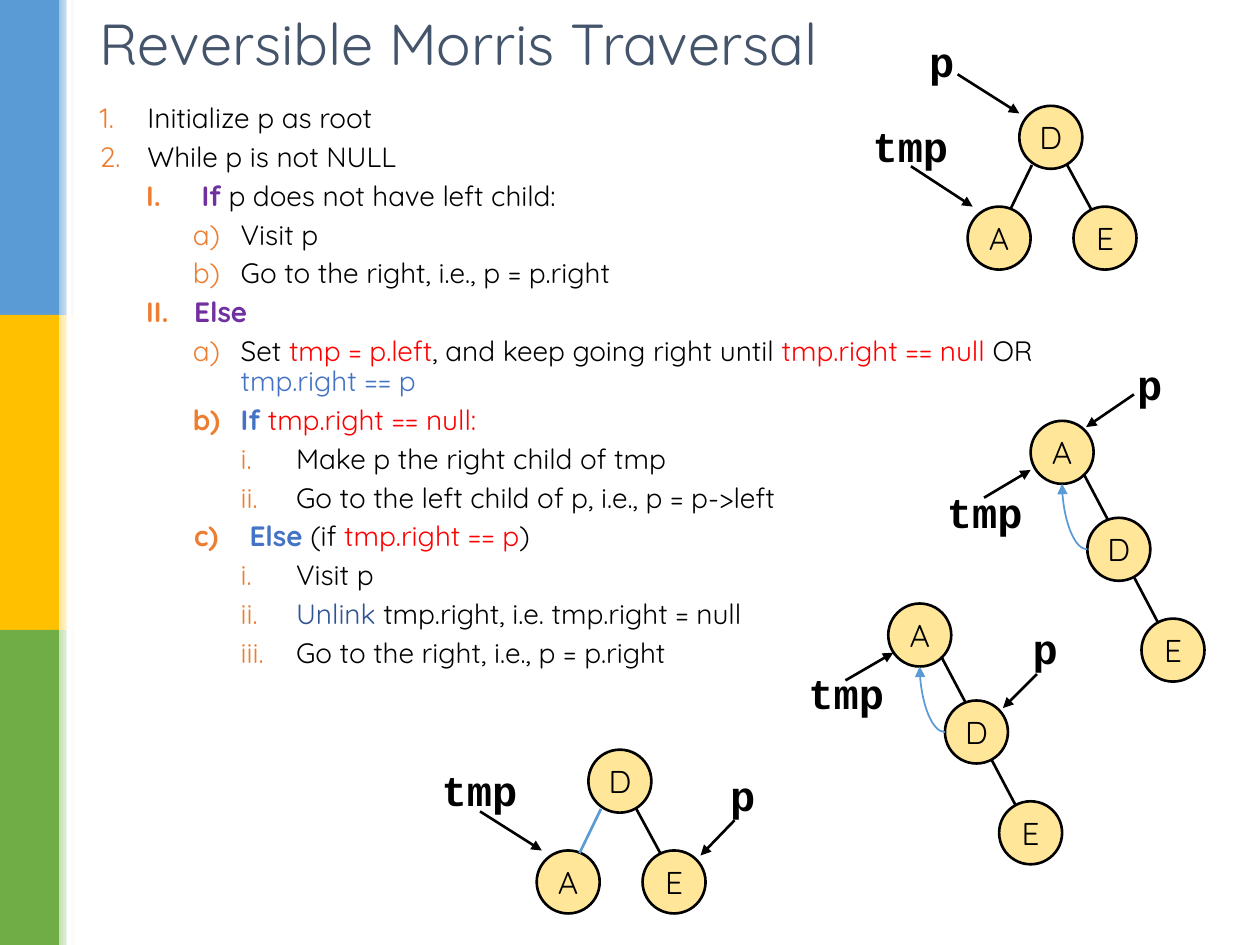
from lxml.etree import SubElement
from pptx import Presentation
from pptx.dml.color import RGBColor
from pptx.enum.shapes import MSO_CONNECTOR, MSO_SHAPE
from pptx.enum.text import MSO_ANCHOR, MSO_AUTO_SIZE, PP_ALIGN
from pptx.oxml.ns import qn
from pptx.util import Inches, Pt

SANS, MONO = "Quicksand", "Courier New"
BLACK, WHITE, RED, PURPLE = "000000", "FFFFFF", "FF0000", "7030A0"
BLUE, NAVY, SKY, ORANGE = "4472C4", "2F5597", "5B9BD5", "ED7D31"

# Content: side bands (solid colour, start of the fade)
BANDS = [("5B9BD5", "9DC3E6"), ("FFC000", "FFE699"), ("70AD47", "C5E0B4")]
TITLE = "Reversible Morris Traversal"

# Level: number style, left indent, hanging indent
LEVELS = [("arabicPeriod", 0.38, 0.38), ("romanUcPeriod", 0.75, 0.38),
          ("alphaLcParenR", 1.12, 0.38), ("romanLcPeriod", 1.56, 0.44)]

# Steps: level, runs (text, colour, bold), own indents if any
STEPS = [
    (0, [("Initialize p as root",)]),
    (0, [("While p is not NULL",)]),
    (1, [("If", PURPLE, True), (" p does not have left child:",)], (0.81, 0.44)),
    (2, [("Visit p",)]),
    (2, [("Go to the right, i.e., p = p.right",)]),
    (1, [("Else", PURPLE, True)]),
    (2, [("Set ",), ("tmp = p.left", RED), (", and keep going right until ",),
         ("tmp.right == null ", RED), ("OR\n",), ("tmp.right == p", BLUE)]),
    (2, [("If ", BLUE, True), ("tmp.right == null:", RED)]),
    (3, [("Make p the right child of tmp",)]),
    (3, [("Go to the left child of p, i.e., p = p->left",)]),
    (2, [("Else", BLUE, True), (" (if ",), ("tmp.right == p", RED), (")",)],
     (1.19, 0.44)),
    (3, [("Visit p",)]),
    (3, [("Unlink ", NAVY), ("tmp.right, i.e. tmp.right = null",)]),
    (3, [("Go to the right, i.e., p = p.right",)]),
]

# Tree forms, measured from the root: nodes, edges, back link
SIZE = 0.5
FORK = {"nodes": [("A", -0.41, 0.8), ("D", 0, 0), ("E", 0.43, 0.8)],
        "edges": [(-0.07, 0.82, 0.1, 0.47), (0.38, 0.47, 0.57, 0.82)]}
CHAIN = {"nodes": [("A", 0, 0), ("D", 0.45, 0.77), ("E", 0.88, 1.57)],
         "edges": [(0.42, 0.42, 0.61, 0.78), (0.82, 1.24, 1.01, 1.6)],
         "link": (0.45, 1.02, 0.25, 0.5)}

# Trees: form, root place, colour of first edge, pointers (text, place, arrow)
TREES = [
    (FORK, 8.09, 0.84, BLACK, [("p", 7.26, 0.23, (7.6, 0.59, 8.09, 0.9)),
                               ("tmp", 6.73, 0.91, (7.23, 1.32, 7.72, 1.64))]),
    (CHAIN, 8.18, 3.34, BLACK, [("tmp", 7.32, 3.81, (7.81, 3.95, 8.18, 3.73)),
                                ("p", 8.91, 2.8, (9, 3.13, 8.62, 3.39))]),
    (CHAIN, 7.05, 4.79, BLACK, [("p", 8.08, 4.89, (8.23, 5.35, 7.96, 5.62)),
                                ("tmp", 6.22, 5.25, (6.71, 5.4, 7.09, 5.18))]),
    (FORK, 4.67, 5.95, SKY, [("tmp", 3.31, 6.02, (3.81, 6.44, 4.3, 6.75)),
                             ("p", 5.68, 6.06, (5.83, 6.51, 5.56, 6.79))]),
]
WIDTHS = {"p": 0.43, "tmp": 0.99}

deck = Presentation()
deck.slide_width, deck.slide_height = Inches(10), Inches(7.5)
slide = deck.slides.add_slide(deck.slide_layouts[1])
shapes = slide.shapes


def paint(color, code):
    color.rgb = RGBColor.from_string(code)


def write(para, text, size=16, font=SANS, color=BLACK, bold=False, align=None):
    run = para.add_run()
    run.text = text.rstrip("\n")
    run.font.size, run.font.name, run.font.bold = Pt(size), font, bold
    paint(run.font.color, color)
    if align is not None:
        para.alignment = align
    if text.endswith("\n"):
        para.add_line_break()


def place(shape, x, y, w, h):
    shape.left, shape.top = Inches(x), Inches(y)
    shape.width, shape.height = Inches(w), Inches(h)


def block(kind, x, y, w, h, fill, line=None):
    shape = shapes.add_shape(kind, *map(Inches, (x, y, w, h)))
    shape.shadow.inherit = False
    shape.fill.solid()
    paint(shape.fill.fore_color, fill)
    if line:
        paint(shape.line.color, line)
        shape.line.width = Pt(1.5)
    else:
        shape.line.fill.background()
    return shape


def join(ends, color=BLACK, width=1.5, arrow=False, curve=False):
    kind = MSO_CONNECTOR.CURVE if curve else MSO_CONNECTOR.STRAIGHT
    wire = shapes.add_connector(kind, *map(Inches, ends))
    paint(wire.line.color, color)
    wire.line.width = Pt(width)
    props = wire.element.spPr
    if curve:
        props.find(qn("a:prstGeom")).set("prst", "curvedConnector2")
    if arrow:
        SubElement(wire.line._get_or_add_ln(), qn("a:tailEnd"), type="triangle")
    SubElement(props, qn("a:effectLst"))


def number(para, level, indent=None):
    style, left, hang = LEVELS[level]
    left, hang = indent or (left, hang)
    para.level, para.line_spacing, para.space_before = level, 0.9, Pt(4.9)
    props = para._p.get_or_add_pPr()
    props.set("marL", str(Inches(left)))
    props.set("indent", str(-Inches(hang)))
    SubElement(SubElement(props, qn("a:buClr")), qn("a:srgbClr"), val=ORANGE)
    SubElement(props, qn("a:buFont"), typeface="+mj-lt")
    SubElement(props, qn("a:buAutoNum"), type=style)


# Side bands
for row, (solid, fade) in enumerate(BANDS):
    block(MSO_SHAPE.RECTANGLE, 0, row * 2.5, 0.47, 2.5, solid)
    strip = block(MSO_SHAPE.RECTANGLE, 0.47, row * 2.5, 0.12, 2.5, fade)
    strip.fill.gradient()
    strip.fill.gradient_angle = 0
    for stop, code in zip(strip.fill.gradient_stops, (fade, WHITE)):
        paint(stop.color, code)
block(MSO_SHAPE.RECTANGLE, 0.53, 0, 0.04, 7.5, WHITE)

# Title and steps
head, body = shapes.title, slide.placeholders[1]
place(head, 0.69, 0, 8.62, 0.68)
place(body, 0.69, 0.78, 9, 4.88)
for holder in (head, body):
    holder.text_frame.auto_size = MSO_AUTO_SIZE.NONE
head.text_frame.vertical_anchor = MSO_ANCHOR.MIDDLE
write(head.text_frame.paragraphs[0], TITLE, size=33, color="44546A",
      align=PP_ALIGN.LEFT)
frame = body.text_frame
for row, (level, runs, *indent) in enumerate(STEPS):
    para = frame.add_paragraph() if row else frame.paragraphs[0]
    number(para, level, *indent)
    for text, *look in runs:
        write(para, text, **dict(zip(("color", "bold"), look)))

# Trees with their pointers
for form, x, y, first, marks in TREES:
    for name, dx, dy in form["nodes"]:
        node = block(MSO_SHAPE.OVAL, x + dx, y + dy, SIZE, SIZE, "FFE699", BLACK)
        node.text_frame.word_wrap = False
        node.text_frame.vertical_anchor = MSO_ANCHOR.MIDDLE
        write(node.text_frame.paragraphs[0], name, size=18, align=PP_ALIGN.CENTER)
    for (ax, ay, bx, by), color in zip(form["edges"], (first, BLACK)):
        join((x + ax, y + ay, x + bx, y + by), color)
    if "link" in form:
        ax, ay, bx, by = form["link"]
        join((x + ax, y + ay, x + bx, y + by), SKY, 1, arrow=True, curve=True)
    for name, left, top, ends in marks:
        label = shapes.add_textbox(*map(Inches, (left, top, WIDTHS[name], 0.5)))
        label.text_frame.word_wrap = True
        write(label.text_frame.paragraphs[0], name, size=24, font=MONO,
              bold=True, align=PP_ALIGN.CENTER)
        join(ends, arrow=True)

deck.save("out.pptx")
